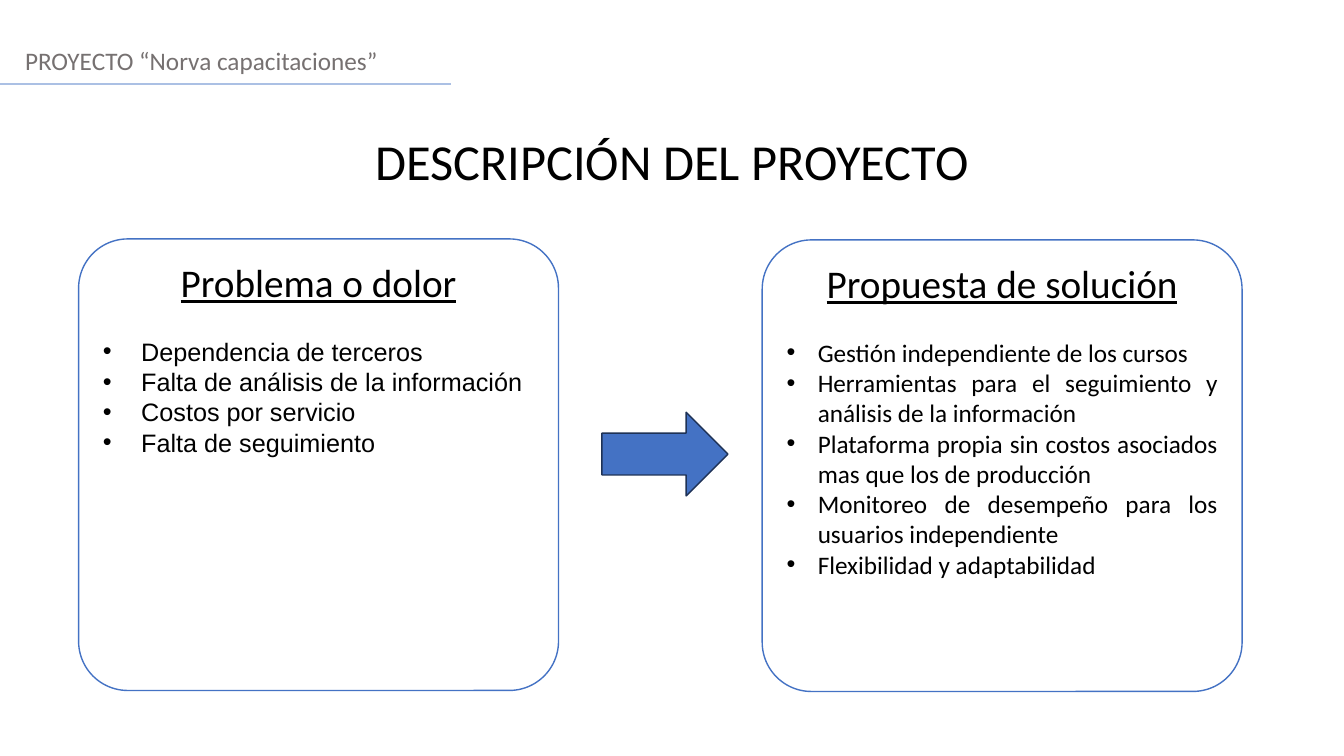
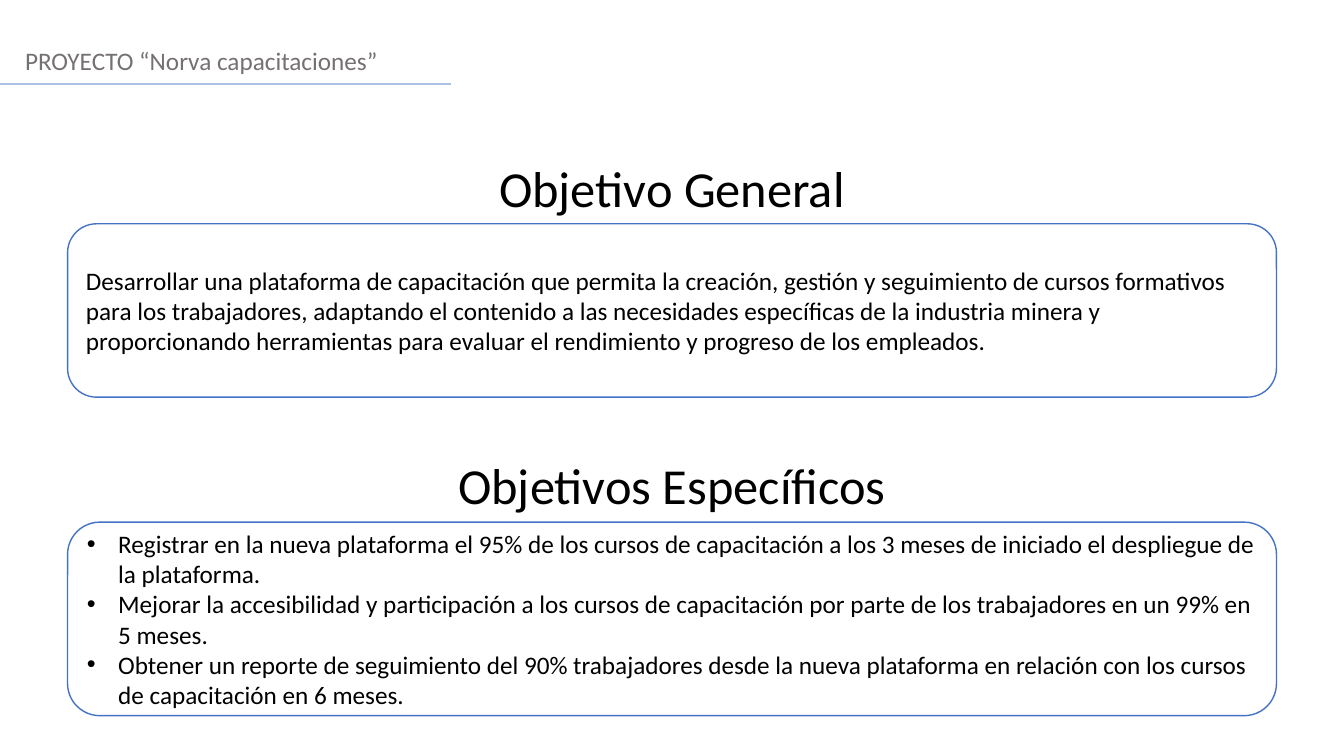
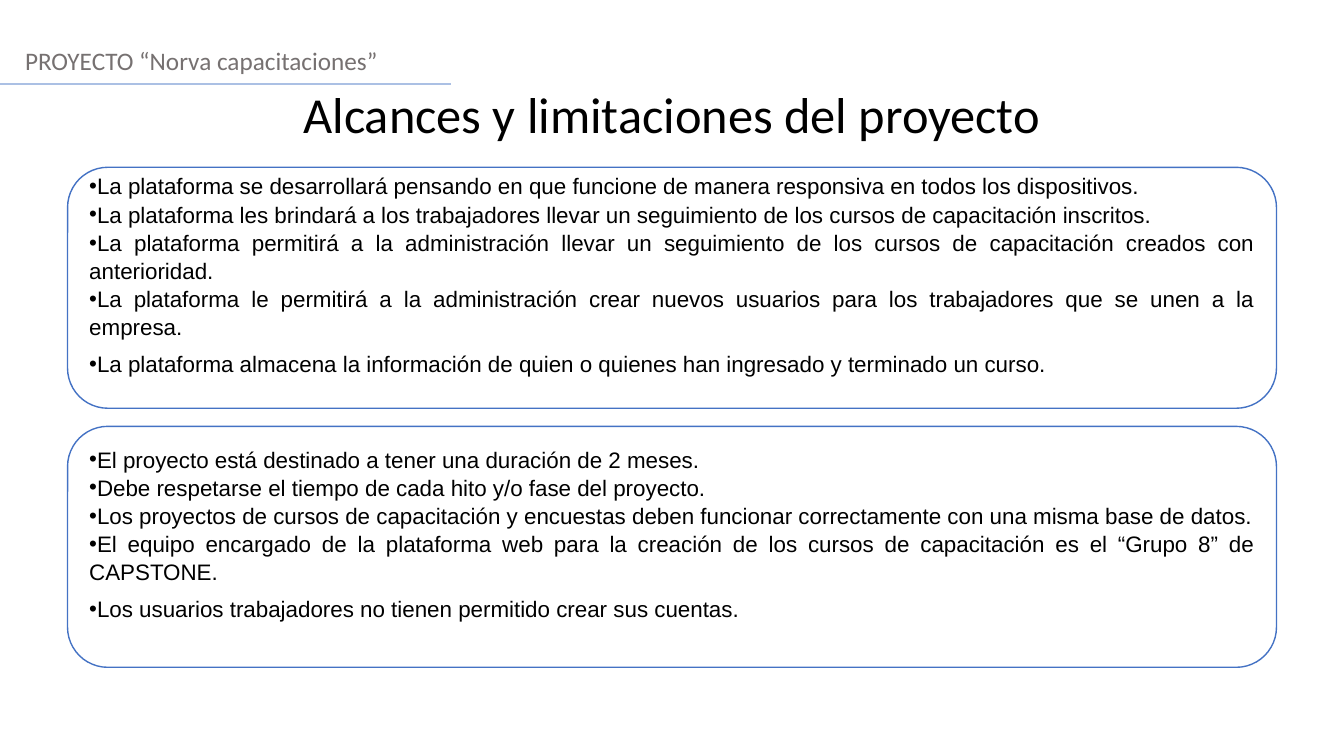
from lxml import etree
from pptx import Presentation
from pptx.dml.color import RGBColor
from pptx.enum import shapes, text
from pptx.oxml import ns
from pptx.util import Inches, Pt

BLACK = RGBColor(0x00, 0x00, 0x00)
WHITE = RGBColor(0xFF, 0xFF, 0xFF)
GRAY = RGBColor(0x76, 0x71, 0x71)
BLUE = RGBColor(0x44, 0x72, 0xC4)
NAVY = RGBColor(0x1E, 0x32, 0x56)
PALE_BLUE = RGBColor(0xAB, 0xC0, 0xE4)

LEFT, CENTER, JUSTIFY = text.PP_ALIGN.LEFT, text.PP_ALIGN.CENTER, text.PP_ALIGN.JUSTIFY
TOP, MIDDLE = text.MSO_ANCHOR.TOP, text.MSO_ANCHOR.MIDDLE

HEADER = {"size": Pt(18), "name": "Calibri", "color": GRAY}
TITLE = {"size": Pt(36), "name": "Calibri", "align": CENTER}
SUBTITLE = {"size": Pt(28), "name": "Calibri", "align": CENTER,
            "underline": True, "spacing": {"space_after": Pt(22)}}
BODY = {"size": Pt(18), "name": "Calibri"}
BULLETS = {**BODY, "indent": 0.31}
PROBLEM = {**BULLETS, "name": "Arial", "indent": 0.38}
SOLUTION = {**BULLETS, "align": JUSTIFY}
SCOPE = {"size": Pt(16), "name": "Arial", "align": JUSTIFY, "indent": 0,
         "spacing": {"line_spacing": 1.05}}
SCOPE_LAST = {**SCOPE, "spacing": {"line_spacing": 1.05, "space_before": Pt(6)}}


def write(frame, groups):
    """Fill a text frame from (style, lines) groups; an indent gives bullets."""
    frame.word_wrap = True
    entries = [(style, line) for style, lines in groups for line in lines]
    for number, (style, line) in enumerate(entries):
        para = frame.add_paragraph() if number else frame.paragraphs[0]
        para.alignment = style.get("align", LEFT)
        for key, value in style.get("spacing", {}).items():
            setattr(para, key, value)
        span = para.add_run()
        span.text = line
        for key in ("size", "name", "underline"):
            setattr(span.font, key, style.get(key))
        span.font.color.rgb = style.get("color", BLACK)
        if "indent" in style:
            props = para._p.get_or_add_pPr()
            props.set("marL", str(Inches(style["indent"])))
            props.set("indent", str(-Inches(style["indent"])))
            etree.SubElement(props, ns.qn("a:buFont")).set("typeface", "Arial")
            etree.SubElement(props, ns.qn("a:buChar")).set("char", "•")


def add_filled(page, kind, area, fill, line):
    shape = page.shapes.add_shape(kind, *map(Inches, area))
    shape.shadow.inherit = False
    shape.fill.solid()
    shape.fill.fore_color.rgb = fill
    shape.line.color.rgb = line
    shape.line.width = Pt(1)
    return shape


WIDE_LEFT, WIDE_WIDTH = 0.67, 11.99
CARD_WIDTH, CARD_HEIGHT = 4.76, 4.48
CARD = {"anchor": TOP, "corner": 0.109, "bottom": 0.05}
PANEL = {"anchor": MIDDLE, "corner": 0.16667, "bottom": 0.05}
SCOPE_PANEL = {**PANEL, "bottom": 0.32}

# Each page: titles as (top, wording), boxes as (area, format, text groups)
PAGES = [
    {
        "titles": [(1.24, "DESCRIPCIÓN DEL PROYECTO")],
        "boxes": [
            ((0.78, 2.37, CARD_WIDTH, CARD_HEIGHT), CARD, [
                (SUBTITLE, ["Problema o dolor"]),
                (PROBLEM, [
                    "Dependencia de terceros",
                    "Falta de análisis de la información",
                    "Costos por servicio",
                    "Falta de seguimiento",
                ]),
            ]),
            ((7.56, 2.38, CARD_WIDTH, CARD_HEIGHT), CARD, [
                (SUBTITLE, ["Propuesta de solución"]),
                (SOLUTION, [
                    "Gestión independiente de los cursos",
                    "Herramientas para el seguimiento y análisis de la información",
                    "Plataforma propia sin costos asociados mas que los de producción",
                    "Monitoreo de desempeño para los usuarios independiente",
                    "Flexibilidad y adaptabilidad",
                ]),
            ]),
        ],
        "arrow": (5.97, 4.09, 1.25, 0.83),
    },
    {
        "titles": [(1.51, "Objetivo General"), (4.46, "Objetivos Específicos")],
        "boxes": [
            ((WIDE_LEFT, 2.22, WIDE_WIDTH, 1.72), PANEL, [
                (BODY, [
                    "Desarrollar una plataforma de capacitación que permita la creación, "
                    "gestión y seguimiento de cursos formativos para los trabajadores, "
                    "adaptando el contenido a las necesidades específicas de la industria "
                    "minera y proporcionando herramientas para evaluar el rendimiento y "
                    "progreso de los empleados.",
                ]),
            ]),
            ((WIDE_LEFT, 5.18, WIDE_WIDTH, 1.92), PANEL, [
                (BULLETS, [
                    "Registrar en la nueva plataforma el 95% de los cursos de capacitación "
                    "a los 3 meses de iniciado el despliegue de la plataforma.",
                    "Mejorar la accesibilidad y participación a los cursos de capacitación "
                    "por parte de los trabajadores en un 99% en 5 meses.",
                    "Obtener un reporte de seguimiento del 90% trabajadores desde la nueva "
                    "plataforma en relación con los cursos de capacitación en 6 meses.",
                ]),
            ]),
        ],
    },
    {
        "titles": [(0.78, "Alcances y limitaciones del proyecto")],
        "boxes": [
            ((WIDE_LEFT, 1.66, WIDE_WIDTH, 2.39), SCOPE_PANEL, [
                (SCOPE, [
                    "La plataforma se desarrollará pensando en que funcione de manera "
                    "responsiva en todos los dispositivos.",
                    "La plataforma les brindará a los trabajadores llevar un seguimiento "
                    "de los cursos de capacitación inscritos.",
                    "La plataforma permitirá a la administración llevar un seguimiento de "
                    "los cursos de capacitación creados con anterioridad.",
                    "La plataforma le permitirá a la administración crear nuevos usuarios "
                    "para los trabajadores que se unen a la empresa.",
                ]),
                (SCOPE_LAST, [
                    "La plataforma almacena la información de quien o quienes han "
                    "ingresado y terminado un curso.",
                ]),
            ]),
            ((WIDE_LEFT, 4.23, WIDE_WIDTH, 2.39), SCOPE_PANEL, [
                (SCOPE, [
                    "El proyecto está destinado a tener una duración de 2 meses.",
                    "Debe respetarse el tiempo de cada hito y/o fase del proyecto.",
                    "Los proyectos de cursos de capacitación y encuestas deben funcionar "
                    "correctamente con una misma base de datos.",
                    "El equipo encargado de la plataforma web para la creación de los "
                    "cursos de capacitación es el “Grupo 8” de CAPSTONE.",
                ]),
                (SCOPE_LAST, [
                    "Los usuarios trabajadores no tienen permitido crear sus cuentas.",
                ]),
            ]),
        ],
    },
]

deck = Presentation()
deck.slide_width, deck.slide_height = Inches(13.33), Inches(7.5)

for content in PAGES:
    page = deck.slides.add_slide(deck.slide_layouts[6])

    header = page.shapes.add_textbox(Inches(0.15), Inches(0.4), Inches(13), Inches(0.4))
    write(header.text_frame, [(HEADER, ["PROYECTO “Norva capacitaciones”"])])
    rule = page.shapes.add_connector(
        shapes.MSO_CONNECTOR.STRAIGHT, 0, Inches(0.83), Inches(4.47), Inches(0.83))
    rule.line.color.rgb = PALE_BLUE
    rule.line.width = Pt(1.25)
    etree.SubElement(rule._element.spPr, ns.qn("a:effectLst"))

    for top, wording in content["titles"]:
        title = page.shapes.add_textbox(0, Inches(top), deck.slide_width, Inches(0.71))
        write(title.text_frame, [(TITLE, [wording])])

    for area, style, groups in content["boxes"]:
        box = add_filled(page, shapes.MSO_SHAPE.ROUNDED_RECTANGLE, area, WHITE, BLUE)
        box.adjustments[0] = style["corner"]
        box.text_frame.vertical_anchor = style["anchor"]
        box.text_frame.margin_bottom = Inches(style["bottom"])
        write(box.text_frame, groups)

    if "arrow" in content:
        add_filled(page, shapes.MSO_SHAPE.RIGHT_ARROW, content["arrow"], BLUE, NAVY)

deck.save("out.pptx")
